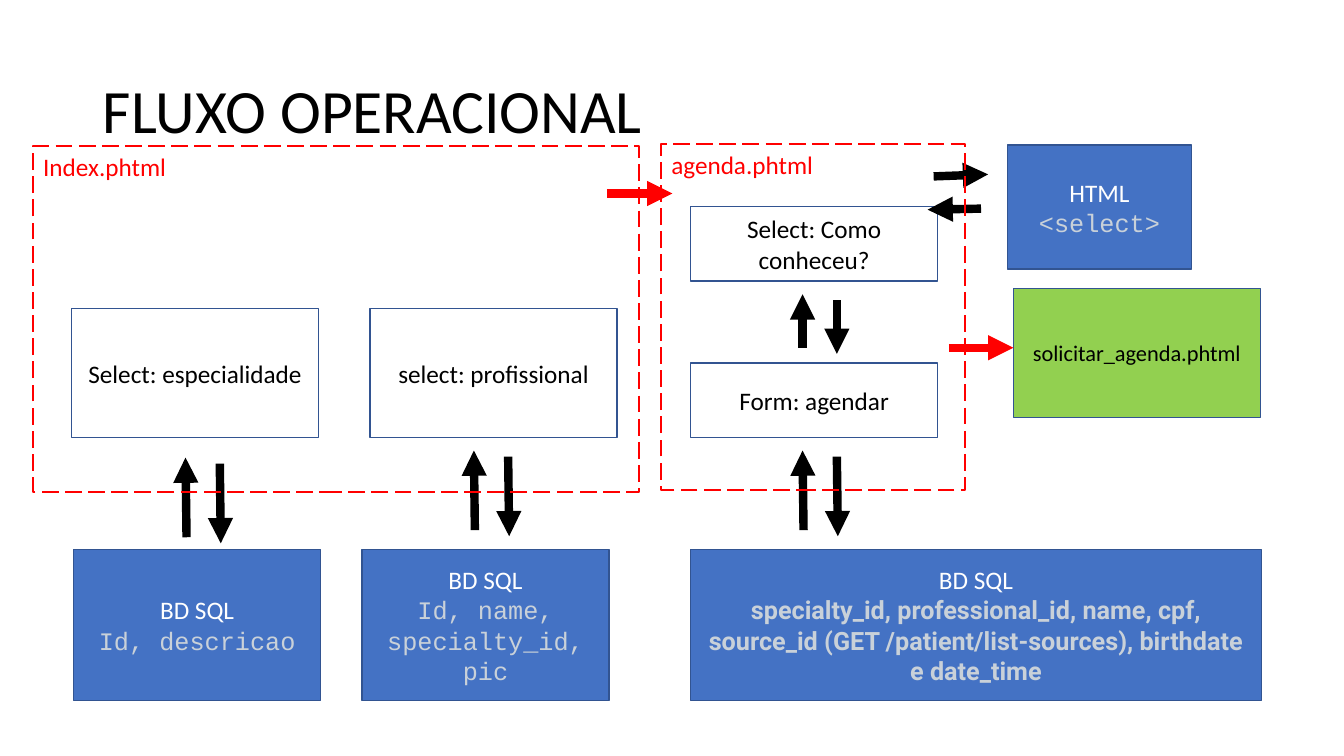
from lxml import etree
from pptx import Presentation
from pptx.dml.color import RGBColor
from pptx.enum.dml import MSO_LINE
from pptx.enum.shapes import MSO_CONNECTOR, MSO_SHAPE
from pptx.enum.text import MSO_ANCHOR, MSO_AUTO_SIZE, PP_ALIGN
from pptx.oxml.ns import qn
from pptx.util import Inches, Pt

RECT, LINE = MSO_SHAPE.RECTANGLE, MSO_CONNECTOR.STRAIGHT
DASH = MSO_LINE.LONG_DASH
MID, TOP = MSO_ANCHOR.MIDDLE, MSO_ANCHOR.TOP
LEFT, CENTER = PP_ALIGN.LEFT, PP_ALIGN.CENTER
FIT_NONE = MSO_AUTO_SIZE.NONE

COLORS = {"blue": "4472C4", "edge": "325491", "green": "92D050", "red": "FF0000",
          "black": "000000", "white": "FFFFFF", "pale": "C9D1D9"}
SANS, MONO, BOLD = "Calibri", "Courier New", "Roboto"

# Content
TITLE = "FLUXO OPERACIONAL"
WIDE, TALL, LOW, BASE = 2.45, 1.28, 0.74, 1.5
FORM_X, DATA_Y = 6.85, 5.45

# Steps: left, top, width, height, fill, size, text
STEPS = [
    (0.71, 3.06, WIDE, TALL, None, 18, "Select: especialidade"),
    (3.67, 3.06, WIDE, TALL, None, 18, "select: profissional"),
    (FORM_X, 2.05, WIDE, LOW, None, 18, "Select: Como conheceu?"),
    (FORM_X, 3.6, WIDE, LOW, None, 18, "Form: agendar"),
    (10.05, 2.86, WIDE, TALL, "green", 16, "solicitar_agenda.phtml"),
]
# Stores: left, top, width, height, heading, detail, detail font
STORES = [
    (0.73, DATA_Y, WIDE, BASE, "BD SQL", "Id, descricao", MONO),
    (3.59, DATA_Y, WIDE, BASE, "BD SQL", "Id, name, specialty_id, pic", MONO),
    (FORM_X, DATA_Y, 5.66, BASE, "BD SQL",
     "specialty_id, professional_id, name, cpf, source_id "
     "(GET /patient/list-sources), birthdate e date_time", BOLD),
    (9.99, 1.44, 1.83, 1.23, "HTML", "<select>", MONO),
]
# Pages: left, top, width, height, name
PAGES = [
    (0.33, 1.45, 6.01, 3.43, "Index.phtml"),
    (6.56, 1.43, 3.01, 3.43, "agenda.phtml"),
]
# Up and down pairs: tip x, tip y, length, lean
PAIRS = [
    (1.84, 4.54, 0.79, 0.01),
    (4.7, 4.47, 0.79, 0.01),
    (7.96, 4.47, 0.79, 0.01),
    (7.96, 2.92, 0.53, 0),
]
GAP, DROP = 0.34, 0.06
# Side arrows: from x, from y, to x, to y, color
SIDES = [
    (9.26, 1.75, 9.8, 1.73, "black"),
    (9.73, 2.07, 9.2, 2.08, "black"),
]
JUMPS = [
    (6.02, 1.92, 6.67, 1.92, "red"),
    (9.41, 3.45, 10.05, 3.45, "red"),
]

deck = Presentation()
deck.slide_width, deck.slide_height = Inches(13.33), Inches(7.5)
slide = deck.slides.add_slide(deck.slide_layouts[5])


def rgb(name):
    return RGBColor.from_string(COLORS[name])


def add_run(para, text, size, color, font=SANS):
    run = para.add_run()
    run.text = text
    run.font.size = Pt(size)
    run.font.name = font
    run.font.bold = font == BOLD
    run.font.color.rgb = rgb(color)


def add_box(area, fill, edge, width, lines, align=CENTER, anchor=MID):
    box = slide.shapes.add_shape(RECT, *map(Inches, area))
    box.shadow.inherit = False
    if fill:
        box.fill.solid()
        box.fill.fore_color.rgb = rgb(fill)
    else:
        box.fill.background()
    box.line.color.rgb = rgb(edge)
    box.line.width = Pt(width)
    frame = box.text_frame
    frame.word_wrap = True
    frame.vertical_anchor = anchor
    for i, line in enumerate(lines):
        para = frame.add_paragraph() if i else frame.paragraphs[0]
        para.alignment = align
        add_run(para, *line)
    return box


def add_arrow(x1, y1, x2, y2, color):
    arrow = slide.shapes.add_connector(LINE, *map(Inches, (x1, y1, x2, y2)))
    arrow.line.color.rgb = rgb(color)
    arrow.line.width = Pt(6)
    etree.SubElement(arrow.line._get_or_add_ln(), qn("a:tailEnd"), type="triangle")
    etree.SubElement(arrow._element.spPr, qn("a:effectLst"))


# Title
title = slide.shapes.title
title.left, title.top, title.width, title.height = map(Inches, (0.92, 0.4, 11.5, 1.45))
title.text_frame.auto_size = FIT_NONE
title.text_frame.vertical_anchor = MID
head = title.text_frame.paragraphs[0]
head.alignment = LEFT
head.line_spacing = 0.9
add_run(head, TITLE, 44, "black")

# Steps and stores
for *area, fill, size, text in STEPS:
    add_box(area, fill, "edge", 1, [(text, size, "black")])
for *area, name, detail, font in STORES:
    add_box(area, "blue", "edge", 1,
            [(name, 18, "white"), (detail, 18, "pale", font)])

# Black arrows
for x, y, length, lean in PAIRS:
    add_arrow(x + lean, y + length, x, y, "black")
    add_arrow(x + GAP, y + DROP, x + GAP + lean, y + DROP + length, "black")
for side in SIDES:
    add_arrow(*side)

# Page frames
for *area, name in PAGES:
    page = add_box(area, None, "red", 1.5, [(name, 18, "red")], LEFT, TOP)
    page.line.dash_style = DASH

# Red arrows between pages
for jump in JUMPS:
    add_arrow(*jump)

deck.save("out.pptx")
